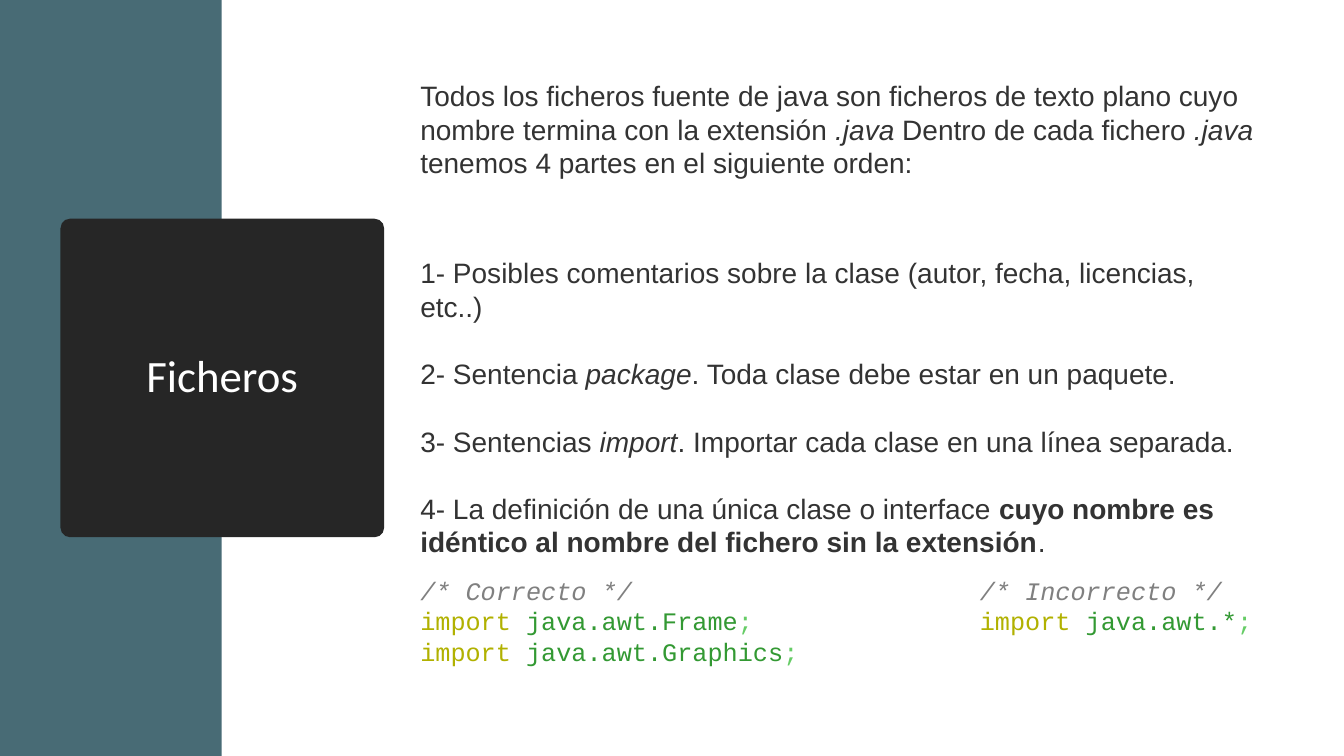
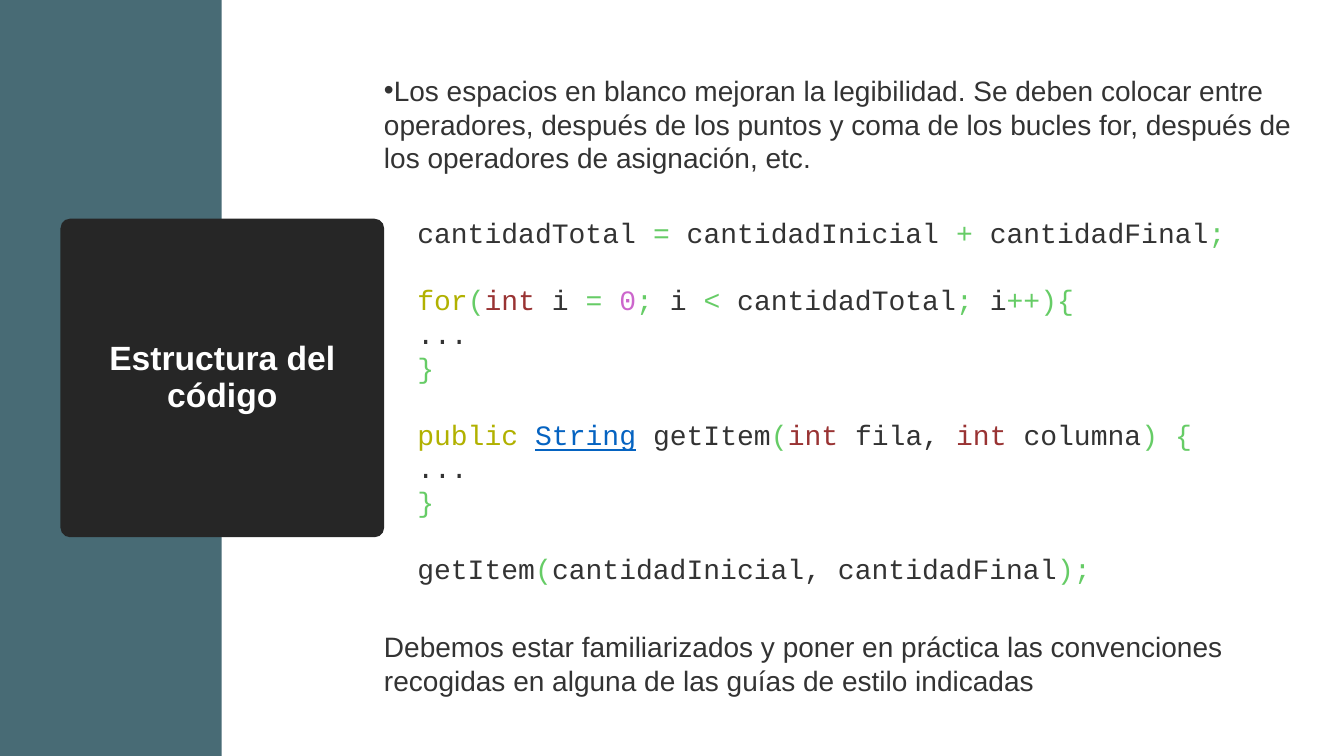
from lxml.etree import SubElement
from pptx import Presentation
from pptx.dml.color import RGBColor
from pptx.enum.shapes import MSO_SHAPE
from pptx.enum.text import MSO_ANCHOR, PP_ALIGN
from pptx.oxml.ns import qn
from pptx.util import Inches, Pt

PROSE = {
    "plain": {},
    "italic": {"italic": True},
    "bold": {"bold": True},
}
SYNTAX = {
    "name": {"color": "333333"},
    "comment": {"color": "808080", "italic": True},
    "keyword": {"color": "B1B100"},
    "library": {"color": "339933"},
    "symbol": {"color": "66CC66"},
    "type": {"color": "993333"},
    "number": {"color": "CC66CC"},
    "class": {"color": "0563C1", "underline": True},
}
STYLES = {**PROSE, **SYNTAX}


def paint(color_format, color):
    color_format.rgb = RGBColor.from_string(color)


class Deck:
    BAND = "486B75"
    CARD = "262626"
    INK = "333333"
    WHITE = "FFFFFF"
    LEADING = 1.2

    def __init__(self):
        self.deck = Presentation()
        self.deck.slide_width = Inches(13.33)
        self.deck.slide_height = Inches(7.5)
        self.page = None

    def add_page(self, title, title_font, title_size, bold=False):
        self.page = self.deck.slides.add_slide(self.deck.slide_layouts[6])
        self.add_block(MSO_SHAPE.RECTANGLE, 0, 0, 2.2, 7.5, self.BAND)
        card = self.add_block(MSO_SHAPE.ROUNDED_RECTANGLE, 0.6, 2.17, 3.21, 3.16, self.CARD)
        card.adjustments[0] = 0.03
        frame = card.text_frame
        frame.word_wrap = True
        frame.vertical_anchor = MSO_ANCHOR.MIDDLE
        para = frame.paragraphs[0]
        para.text = title
        para.alignment = PP_ALIGN.CENTER
        para.line_spacing = 0.9
        self.set_font(para.font, title_font, title_size, self.WHITE)
        para.font.bold = bold

    def add_block(self, kind, left, top, width, height, color):
        block = self.page.shapes.add_shape(
            kind, Inches(left), Inches(top), Inches(width), Inches(height))
        block.shadow.inherit = False
        block.fill.solid()
        paint(block.fill.fore_color, color)
        block.line.fill.background()
        return block

    def set_font(self, font, name, size, color):
        font.name = name
        font.size = Pt(size)
        paint(font.color, color)

    def add_bullet(self, para):
        properties = para._p.get_or_add_pPr()
        properties.set("marL", "0")
        properties.set("indent", "0")
        SubElement(properties, qn("a:buFont")).set("typeface", "Arial")
        SubElement(properties, qn("a:buChar")).set("char", "•")

    def add_text(self, left, top, width, height, lines, font="Arial", size=20,
                 gaps=(), bullet=False):
        box = self.page.shapes.add_textbox(
            Inches(left), Inches(top), Inches(width), Inches(height))
        frame = box.text_frame
        frame.word_wrap = True
        leading = Pt(size * self.LEADING)
        for index, line in enumerate(lines):
            para = frame.add_paragraph() if index else frame.paragraphs[0]
            if bullet:
                self.add_bullet(para)
            para.line_spacing = leading
            para.space_before = leading if index in gaps else 0
            self.set_font(para.font, font, size, self.INK)
            for text, style in line:
                self.add_span(para, text, **STYLES[style])

    def add_code(self, left, top, width, height, lines, size, gaps=()):
        self.add_text(left, top, width, height, lines, "Courier New", size, gaps)

    def add_span(self, para, text, color=None, **emphasis):
        span = para.add_run()
        span.text = text
        if color:
            paint(span.font.color, color)
        for name, value in emphasis.items():
            setattr(span.font, name, value)

    def save(self):
        self.deck.save("out.pptx")


def import_line(library):
    return [("import ", "keyword"), (library, "library"), (";", "symbol")]


def add_files_page(deck):
    deck.add_page("Ficheros", "Calibri", 32)
    deck.add_text(4.07, 0.73, 8.56, 1.11, [[
        ("Todos los ficheros fuente de java son ficheros de texto plano cuyo "
         "nombre termina con la extensión ", "plain"),
        (".java", "italic"),
        (" Dentro de cada fichero ", "plain"),
        (".java", "italic"),
        (" tenemos 4 partes en el siguiente orden:", "plain"),
    ]])
    parts = [
        [("1- Posibles comentarios sobre la clase (autor, fecha, licencias, etc..)", "plain")],
        [("2- Sentencia ", "plain"), ("package", "italic"),
         (". Toda clase debe estar en un paquete.", "plain")],
        [("3- Sentencias ", "plain"), ("import", "italic"),
         (". Importar cada clase en una línea separada.", "plain")],
        [("4- La definición de una única clase o interface ", "plain"),
         ("cuyo nombre es idéntico al nombre del fichero sin la extensión", "bold"),
         (".", "plain")],
    ]
    deck.add_text(4.07, 2.49, 8.56, 2.79, parts, gaps=(1, 2, 3))
    examples = [
        (4.07, 5.4, "/* Correcto */", ["java.awt.Frame", "java.awt.Graphics"]),
        (9.62, 3.01, "/* Incorrecto */", ["java.awt.*"]),
    ]
    for left, width, comment, libraries in examples:
        lines = [[(comment, "comment")]] + [import_line(library) for library in libraries]
        deck.add_code(left, 5.66, width, 1.01, lines, 18)


def add_structure_page(deck):
    deck.add_page("Estructura del\vcódigo", "Arial", 24, bold=True)
    deck.add_text(3.71, 0.68, 9.41, 1.11, [[
        ("Los espacios en blanco mejoran la legibilidad. Se deben colocar entre "
         "operadores, después de los puntos y coma de los bucles for, después de "
         "los operadores de asignación, etc.", "plain"),
    ]], bullet=True)
    body = [[("...", "name")], [("}", "symbol")]]
    code = [
        [("cantidadTotal ", "name"), ("= ", "symbol"), ("cantidadInicial ", "name"),
         ("+ ", "symbol"), ("cantidadFinal", "name"), (";", "symbol")],
        [("for", "keyword"), ("(", "symbol"), ("int", "type"), (" i ", "name"),
         ("= ", "symbol"), ("0", "number"), (";", "symbol"), (" i ", "name"),
         ("< ", "symbol"), ("cantidadTotal", "name"), (";", "symbol"),
         (" i", "name"), ("++){", "symbol")],
        *body,
        [("public ", "keyword"), ("String", "class"), (" getItem", "name"),
         ("(", "symbol"), ("int", "type"), (" fila, ", "name"), ("int", "type"),
         (" columna", "name"), (") {", "symbol")],
        *body,
        [("getItem", "name"), ("(", "symbol"),
         ("cantidadInicial, cantidadFinal", "name"), (");", "symbol")],
    ]
    deck.add_code(4.04, 2.09, 8.22, 3.8, code, 20, gaps=(1, 4, 7))
    deck.add_text(3.71, 6.2, 9.41, 0.77, [[
        ("Debemos estar familiarizados y poner en práctica las convenciones "
         "recogidas en alguna de las guías de estilo indicadas", "plain"),
    ]])


def main():
    deck = Deck()
    add_files_page(deck)
    add_structure_page(deck)
    deck.save()


if __name__ == "__main__":
    main()
